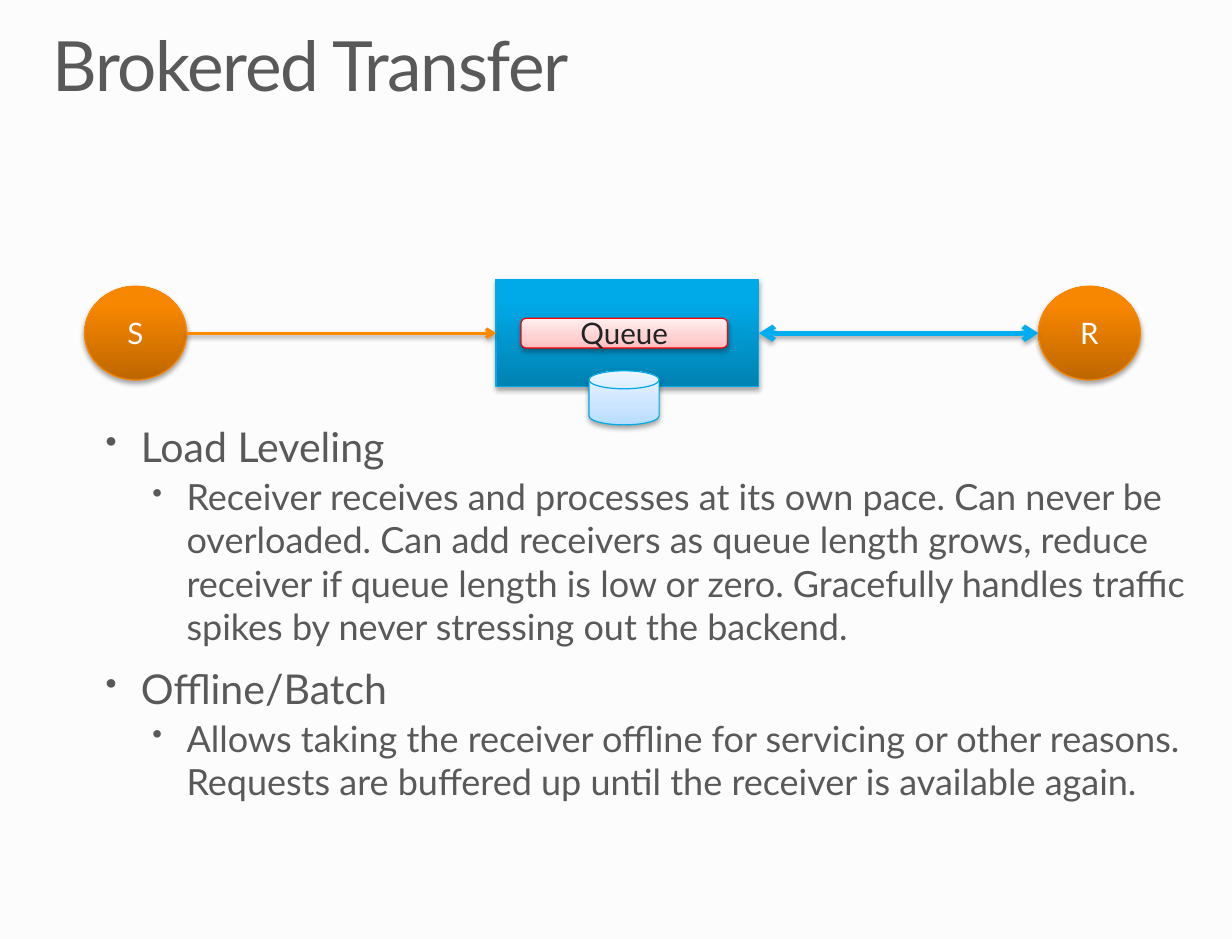
from copy import deepcopy
from pptx import Presentation
from pptx.dml.color import RGBColor
from pptx.enum.shapes import MSO_CONNECTOR as LINK, MSO_SHAPE as SHAPE
from pptx.enum.text import MSO_ANCHOR as ANCHOR, PP_ALIGN as ALIGN
from pptx.oxml.ns import qn
from pptx.util import Cm, Pt
from lxml.etree import SubElement

PAPER = RGBColor(0xFC, 0xFC, 0xFC)
GREY = RGBColor(0x59, 0x59, 0x59)
INK = RGBColor(0x23, 0x23, 0x23)
WHITE = RGBColor(0xFF, 0xFF, 0xFF)
ORANGE = RGBColor(0xFF, 0x8A, 0x00)
BLUE = RGBColor(0x00, 0xAE, 0xEF)
ORANGE_EDGE = RGBColor(0xF9, 0x87, 0x00)
BLUE_EDGE = RGBColor(0x00, 0xAA, 0xEA)
RED_EDGE = RGBColor(0xF9, 0x00, 0x00)
ORANGE_FADE = [(0, RGBColor(0xBE, 0x67, 0x00)), (0.8, RGBColor(0xF7, 0x86, 0x00)), (1, RGBColor(0xF8, 0x86, 0x00))]
BLUE_FADE = [(0, RGBColor(0x00, 0x82, 0xB2)), (0.8, RGBColor(0x00, 0xA9, 0xE8)), (1, RGBColor(0x00, 0xA9, 0xE9))]
PALE_FADE = [(0, RGBColor(0xB5, 0xDC, 0xFF)), (0.35, RGBColor(0xCB, 0xE5, 0xFF)), (1, RGBColor(0xEB, 0xF5, 0xFF))]
PINK_FADE = [(0, RGBColor(0xFF, 0xBD, 0xBD)), (0.35, RGBColor(0xFF, 0xD1, 0xD1)), (1, RGBColor(0xFF, 0xEE, 0xEE))]
FONT = "Lato"
AXIS = 7.21

deck = Presentation()
deck.slide_width, deck.slide_height = Cm(26.67), Cm(20.32)
page = deck.slides.add_slide(deck.slide_layouts[6])
page.background.fill.solid()
page.background.fill.fore_color.rgb = PAPER


def add_shadow(properties):
    effects = properties.find(qn("a:effectLst"))
    if effects is None:
        effects = SubElement(properties, qn("a:effectLst"))
    shadow = SubElement(effects, qn("a:outerShdw"), blurRad="40000", dist="23000", dir="5400000", rotWithShape="0")
    color = SubElement(shadow, qn("a:srgbClr"), val="000000")
    SubElement(color, qn("a:alpha"), val="35000")


def add_text_box(left, top, width, height):
    frame = page.shapes.add_textbox(Cm(left), Cm(top), Cm(width), Cm(height)).text_frame
    frame.word_wrap = True
    frame.margin_left = frame.margin_right = frame.margin_top = frame.margin_bottom = 0
    return frame


title = add_text_box(1.14, 0.69, 24.38, 1.63)
title.text = "Brokered Transfer"
title.paragraphs[0].line_spacing = 0.9
span = title.paragraphs[0].runs[0]
span.font.name, span.font.size, span.font.color.rgb = FONT, Pt(42.5), GREY
span.font._element.set("spc", "-80")

points = [
    (0, "Load Leveling"),
    (1, "Receiver receives and processes at its own pace. Can never be overloaded. Can add receivers as queue "
        "length grows, reduce receiver if queue length is low or zero. Gracefully handles traffic spikes by never "
        "stressing out the backend."),
    (0, "Offline/Batch"),
    (1, "Allows taking the receiver offline for servicing or other reasons. Requests are buffered up until the "
        "receiver is available again."),
]
level_styles = [(25.2, 9.4, 0.76, 0.76), (22.1, 2.4, 1.75, 0.74)]
body = add_text_box(2.29, 9.12, 24.38, 8.28)
for index, (level, text) in enumerate(points):
    size, space, margin, hanging = level_styles[level]
    para = body.add_paragraph() if index else body.paragraphs[0]
    para.text = text
    para.level = level
    if index:
        para.space_before = Pt(space)
    properties = para._p.get_or_add_pPr()
    properties.set("marL", str(Cm(margin)))
    properties.set("indent", str(-Cm(hanging)))
    SubElement(properties, qn("a:buSzPct"), val="80000")
    SubElement(properties, qn("a:buChar"), char="•")
    font = para.runs[0].font
    font.name, font.size, font.color.rgb = FONT, Pt(size), GREY

nodes = [
    ("broker", SHAPE.RECTANGLE, 10.74, AXIS, 5.69, 2.31, BLUE_FADE, BLUE_EDGE, "", INK),
    ("sender", SHAPE.OVAL, 1.83, AXIS, 2.21, 2.03, ORANGE_FADE, ORANGE_EDGE, "S", WHITE),
    ("receiver", SHAPE.OVAL, 22.48, AXIS, 2.21, 2.03, ORANGE_FADE, ORANGE_EDGE, "R", WHITE),
    ("store", SHAPE.FLOWCHART_MAGNETIC_DISK, 12.75, 8.61, 1.52, 1.17, PALE_FADE, BLUE_EDGE, "", INK),
    ("queue", SHAPE.ROUNDED_RECTANGLE, 11.28, AXIS, 4.47, 0.64, PINK_FADE, RED_EDGE, "Queue", INK),
]
placed = {}
for name, kind, left, middle, width, height, fade, edge, label, ink in nodes:
    box = page.shapes.add_shape(kind, Cm(left), Cm(middle - height / 2), Cm(width), Cm(height))
    placed[name] = box
    box.fill.gradient()
    box.fill.gradient_angle = 90
    stops = box._element.spPr.find(".//" + qn("a:gsLst"))
    stops.append(deepcopy(stops[0]))
    for stop, (position, color) in zip(box.fill.gradient_stops, fade):
        stop.position = position
        stop.color.rgb = color
    box.line.color.rgb = edge
    box.line.width = Pt(0.75)
    box.shadow.inherit = False
    add_shadow(box._element.spPr)
    if label:
        frame = box.text_frame
        frame.text = label
        frame.vertical_anchor = ANCHOR.MIDDLE
        frame.margin_left = frame.margin_right = Cm(0.2)
        frame.margin_top = frame.margin_bottom = Cm(0.1)
        para = frame.paragraphs[0]
        para.alignment = ALIGN.CENTER
        font = para.runs[0].font
        font.name, font.size, font.color.rgb = FONT, Pt(18.1), ink

broker, sender, receiver = placed["broker"], placed["sender"], placed["receiver"]
sender_right = sender.left + sender.width
broker_right = broker.left + broker.width
links = [
    (sender_right, broker.left, ORANGE, 2, ["a:tailEnd"]),
    (broker_right, receiver.left, BLUE, 3, ["a:headEnd", "a:tailEnd"]),
]
for start, end, color, weight, arrowheads in links:
    link = page.shapes.add_connector(LINK.STRAIGHT, start, Cm(AXIS), end, Cm(AXIS))
    if end == broker.left:
        link.end_connect(broker, 1)
    else:
        link.begin_connect(broker, 3)
    link.line.color.rgb = color
    link.line.width = Pt(weight)
    for arrowhead in arrowheads:
        SubElement(link.line._get_or_add_ln(), qn(arrowhead), type="arrow")
    add_shadow(link._element.spPr)

deck.save("out.pptx")
